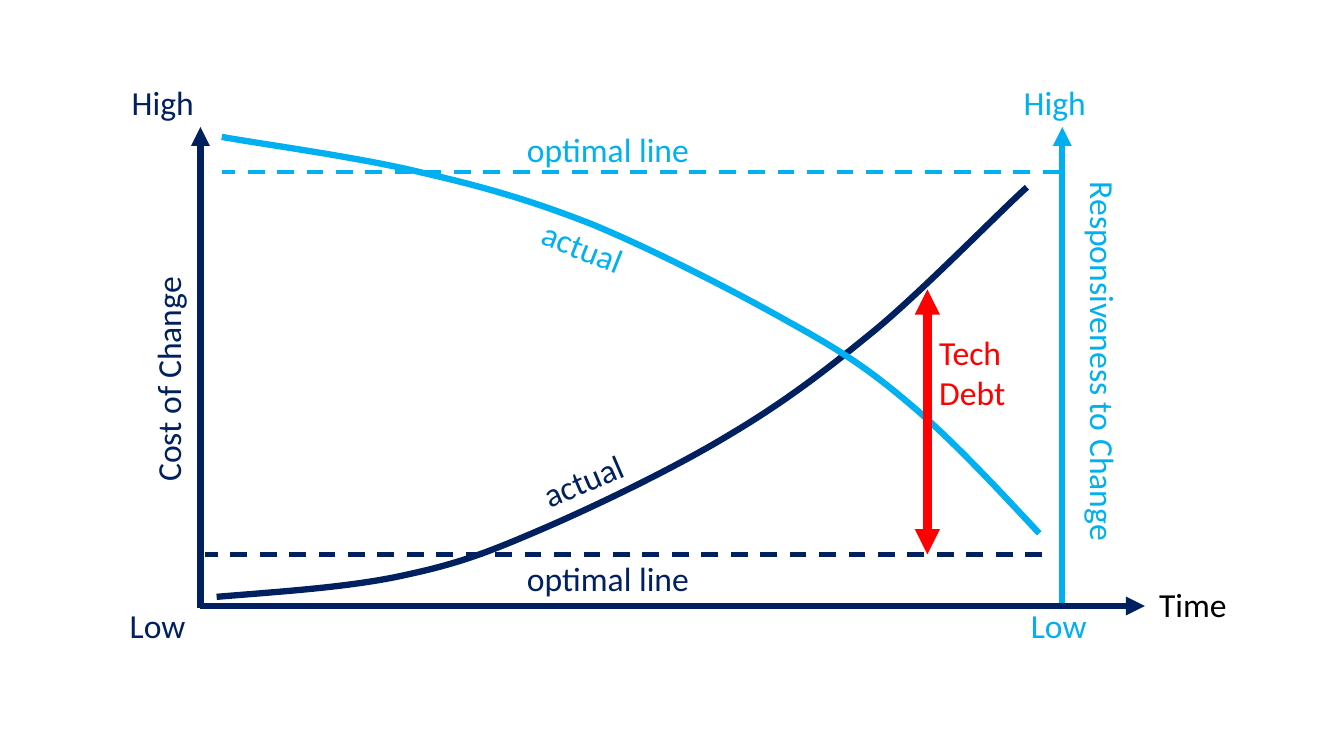
from lxml.etree import SubElement
from pptx import Presentation
from pptx.dml.color import RGBColor
from pptx.enum.dml import MSO_LINE
from pptx.enum.shapes import MSO_CONNECTOR
from pptx.oxml.ns import qn
from pptx.util import Cm, Pt

COLORS = {"cost": "002060", "response": "00B0F0", "debt": "FF0000", "time": "000000"}
FONT = "Calibri"

# Lengths are in centimetres: start, end, colour
AXES = [
    ((26.77, 15.32), (26.77, 3.2), "response"),
    ((5.03, 15.27), (28.85, 15.27), "cost"),
    ((5.05, 15.32), (5.05, 3.2), "cost"),
]
OPTIMAL_LINES = [
    ((26.7, 4.34), (5.59, 4.34), "response"),
    ((26.26, 13.97), (5.16, 13.97), "cost"),
]
DEBT_GAP = ((23.37, 7.29), (23.37, 13.97), "debt")

# Start point, then two control points and an end point for each segment
ACTUAL_CURVES = {
    "cost": [
        (5.46, 15.04),
        (7.04, 14.91), (8.61, 14.81), (9.93, 14.55),
        (11.28, 14.27), (11.99, 14.05), (13.41, 13.44),
        (14.81, 12.85), (16.92, 11.84), (18.36, 10.97),
        (19.81, 10.11), (20.83, 9.32), (22.1, 8.28),
        (23.34, 7.24), (25.22, 5.31), (25.88, 4.72),
    ],
    "response": [
        (26.19, 13.44),
        (25.07, 12.24), (23.98, 11.07), (22.94, 10.19),
        (21.89, 9.3), (21.23, 8.86), (19.91, 8.13),
        (18.57, 7.37), (16.48, 6.3), (14.94, 5.66),
        (13.39, 5.05), (12.17, 4.7), (10.59, 4.34),
        (9.04, 3.96), (6.45, 3.61), (5.59, 3.45),
    ],
}

# Text, left, top, width, colour, rotation
LABELS = [
    ("Cost of Change", 1.37, 8.89, 5.72, "cost", 270),
    ("High", 3.07, 1.93, 2.08, "cost", 0),
    ("Low", 3.02, 15.11, 1.93, "cost", 0),
    ("Time", 28.96, 14.6, 2.24, "time", 0),
    ("Responsiveness to Change", 22.89, 8.61, 9.83, "response", 90),
    ("High", 25.55, 1.93, 2.08, "response", 0),
    ("Low", 25.73, 15.11, 1.93, "response", 0),
    ("optimal line", 13.03, 13.94, 4.65, "cost", 0),
    ("optimal line", 13.03, 3.12, 4.65, "response", 0),
    ("actual", 13.39, 5.59, 2.62, "response", 21.6),
    ("actual", 13.39, 11.46, 2.62, "cost", 336.7),
    ("Tech\nDebt", 23.42, 8.23, 2.18, "debt", 0),
]


def rgb(name):
    return RGBColor.from_string(COLORS[name])


def add_line(slide, start, end, color, width=4.5, dashed=False, arrows=()):
    """Draw a straight line; arrows lists the ends to tip: headEnd, tailEnd."""
    ends = [Cm(value) for value in start + end]
    line = slide.shapes.add_connector(MSO_CONNECTOR.STRAIGHT, *ends)
    line.line.color.rgb = rgb(color)
    line.line.width = Pt(width)
    if dashed:
        line.line.dash_style = MSO_LINE.DASH
    for arrow in arrows:
        SubElement(line.line._get_or_add_ln(), qn(f"a:{arrow}"), type="triangle")
    SubElement(line._element.spPr, qn("a:effectLst"))


def add_curve(slide, points, color):
    """Draw an open Bezier curve by joining each three line points into a segment."""
    start, *rest = [(Cm(x), Cm(y)) for x, y in points]
    builder = slide.shapes.build_freeform(*start)
    builder.add_line_segments(rest, close=False)
    curve = builder.convert_to_shape()
    curve.shadow.inherit = False
    curve.fill.background()
    curve.line.color.rgb = rgb(color)
    curve.line.width = Pt(4.5)

    outline = next(curve._element.iter(qn("a:path")))
    steps = outline.findall(qn("a:lnTo"))
    for first in range(0, len(steps), 3):
        segment = SubElement(outline, qn("a:cubicBezTo"))
        for step in steps[first:first + 3]:
            segment.append(step[0])
            outline.remove(step)


def add_text(slide, text, left, top, width, *, color, rotation=0, size=24):
    lines = text.split("\n")
    height = 1.27 + 1.04 * (len(lines) - 1)
    box = slide.shapes.add_textbox(Cm(left), Cm(top), Cm(width), Cm(height))
    box.rotation = rotation
    box.text_frame.word_wrap = False
    box.text_frame.text = text
    for paragraph in box.text_frame.paragraphs:
        paragraph.font.name = FONT
        paragraph.font.size = Pt(size)
        paragraph.font.color.rgb = rgb(color)


def main():
    deck = Presentation()
    deck.slide_width, deck.slide_height = Cm(33.87), Cm(19.05)
    slide = deck.slides.add_slide(deck.slide_layouts[6])

    for axis in AXES:
        add_line(slide, *axis, arrows=["tailEnd"])
    for optimal in OPTIMAL_LINES:
        add_line(slide, *optimal, width=3, dashed=True)
    for color, points in ACTUAL_CURVES.items():
        add_curve(slide, points, color)
    add_line(slide, *DEBT_GAP, width=6, arrows=["headEnd", "tailEnd"])
    for text, left, top, width, color, rotation in LABELS:
        add_text(slide, text, left, top, width, color=color, rotation=rotation)

    deck.save("out.pptx")


if __name__ == "__main__":
    main()
